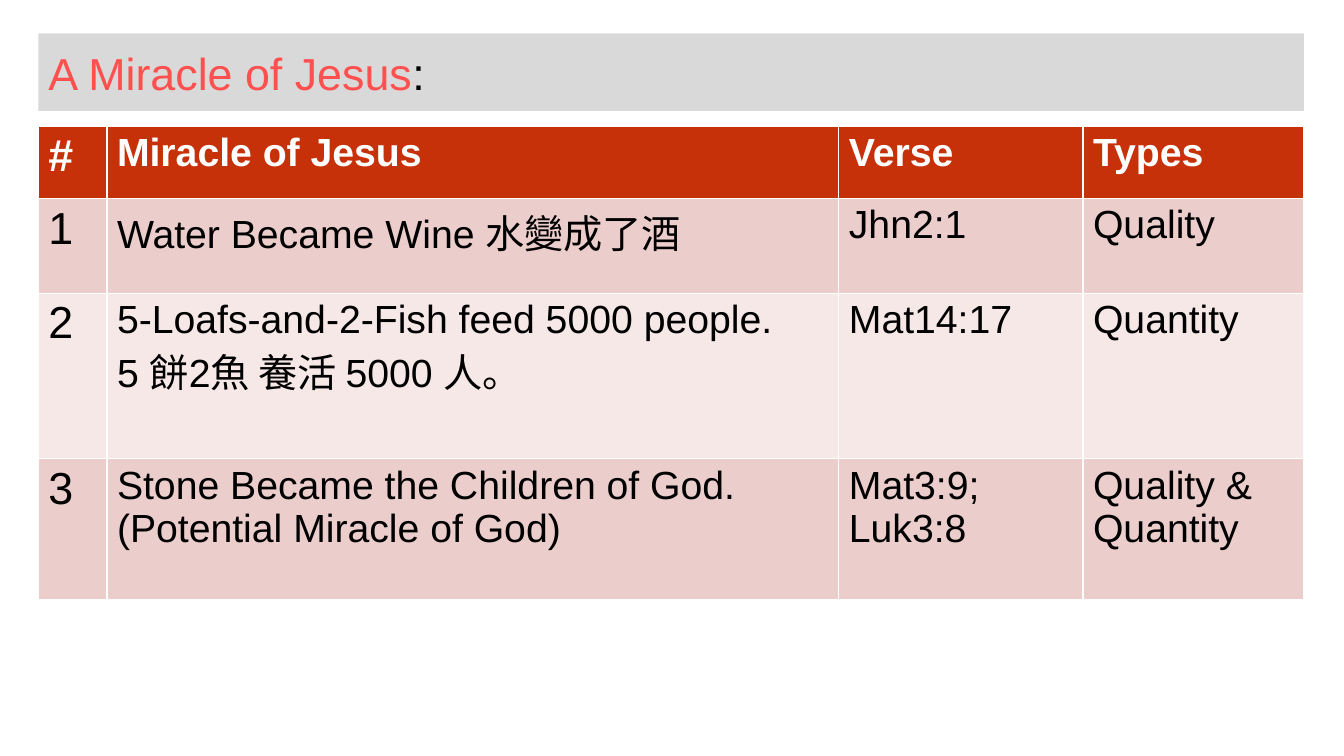
import pptx
import pptx.dml.color
import pptx.enum.text
import pptx.util

Pt = pptx.util.Pt
RGBColor = pptx.dml.color.RGBColor

BLACK = RGBColor(0x00, 0x00, 0x00)
WHITE = RGBColor(0xFF, 0xFF, 0xFF)
CORAL = RGBColor(0xFF, 0x50, 0x50)
GREY = RGBColor(0xD9, 0xD9, 0xD9)
RED = RGBColor(0xC7, 0x31, 0x09)
ROSE = RGBColor(0xEB, 0xCE, 0xCC)
PALE_ROSE = RGBColor(0xF5, 0xE8, 0xE7)

LEFT = 27.4
WIDTH = 904
COLUMN_WIDTHS = [49, 522.8, 174.4, 157.8]
ROW_HEIGHTS = [51.8, 67.7, 118.1, 100.8]
MIRACLES = [
    ["#", "Miracle of Jesus", "Verse", "Types"],
    ["1", "Water Became Wine 水變成了酒", "Jhn2:1", "Quality"],
    ["2", "5-Loafs-and-2-Fish feed 5000 people.\n5 餅2魚 養活 5000 人。", "Mat14:17", "Quantity"],
    ["3", "Stone Became the Children of God.\n(Potential Miracle of God)", "Mat3:9;\nLuk3:8", "Quality & Quantity"],
]


class MiracleSlide:
    font_name = "Arial"
    large = 32
    normal = 28

    def __init__(self, deck):
        self.slide = deck.slides.add_slide(deck.slide_layouts[5])

    def style(self, paragraph, size, bold=False):
        paragraph.alignment = pptx.enum.text.PP_ALIGN.LEFT
        paragraph.font.name = self.font_name
        paragraph.font.size = Pt(size)
        paragraph.font.bold = bold

    def title(self, parts, top, height):
        heading = self.slide.shapes.title
        heading.left, heading.top = Pt(LEFT), Pt(top)
        heading.width, heading.height = Pt(WIDTH), Pt(height)
        heading.fill.solid()
        heading.fill.fore_color.rgb = GREY
        frame = heading.text_frame
        frame.auto_size = pptx.enum.text.MSO_AUTO_SIZE.NONE
        frame.vertical_anchor = pptx.enum.text.MSO_ANCHOR.MIDDLE
        self.style(frame.paragraphs[0], self.large)
        for words, color in parts:
            run = frame.paragraphs[0].add_run()
            run.text = words
            run.font.color.rgb = color

    def cell(self, cell, words, size, fill, color, bold):
        cell.fill.solid()
        cell.fill.fore_color.rgb = fill
        cell.text = words
        for paragraph in cell.text_frame.paragraphs:
            self.style(paragraph, size, bold)
            paragraph.font.color.rgb = color

    def table(self, rows, top):
        table = self.slide.shapes.add_table(
            len(rows), len(COLUMN_WIDTHS), Pt(LEFT), Pt(top), Pt(WIDTH), Pt(sum(ROW_HEIGHTS))
        ).table
        for column, width in zip(table.columns, COLUMN_WIDTHS):
            column.width = Pt(width)
        for r, (row, height) in enumerate(zip(rows, ROW_HEIGHTS)):
            table.rows[r].height = Pt(height)
            header = r == 0
            fill = RED if header else (PALE_ROSE, ROSE)[r % 2]
            color = WHITE if header else BLACK
            for c, words in enumerate(row):
                size = self.large if c == 0 else self.normal
                self.cell(table.cell(r, c), words, size, fill, color, header)


def main():
    deck = pptx.Presentation()
    deck.slide_width, deck.slide_height = Pt(960), Pt(540)
    miracles = MiracleSlide(deck)
    miracles.title([("A Miracle of Jesus", CORAL), (":", BLACK)], 23.8, 55.4)
    miracles.table(MIRACLES, 90)
    deck.save("out.pptx")


if __name__ == "__main__":
    main()
